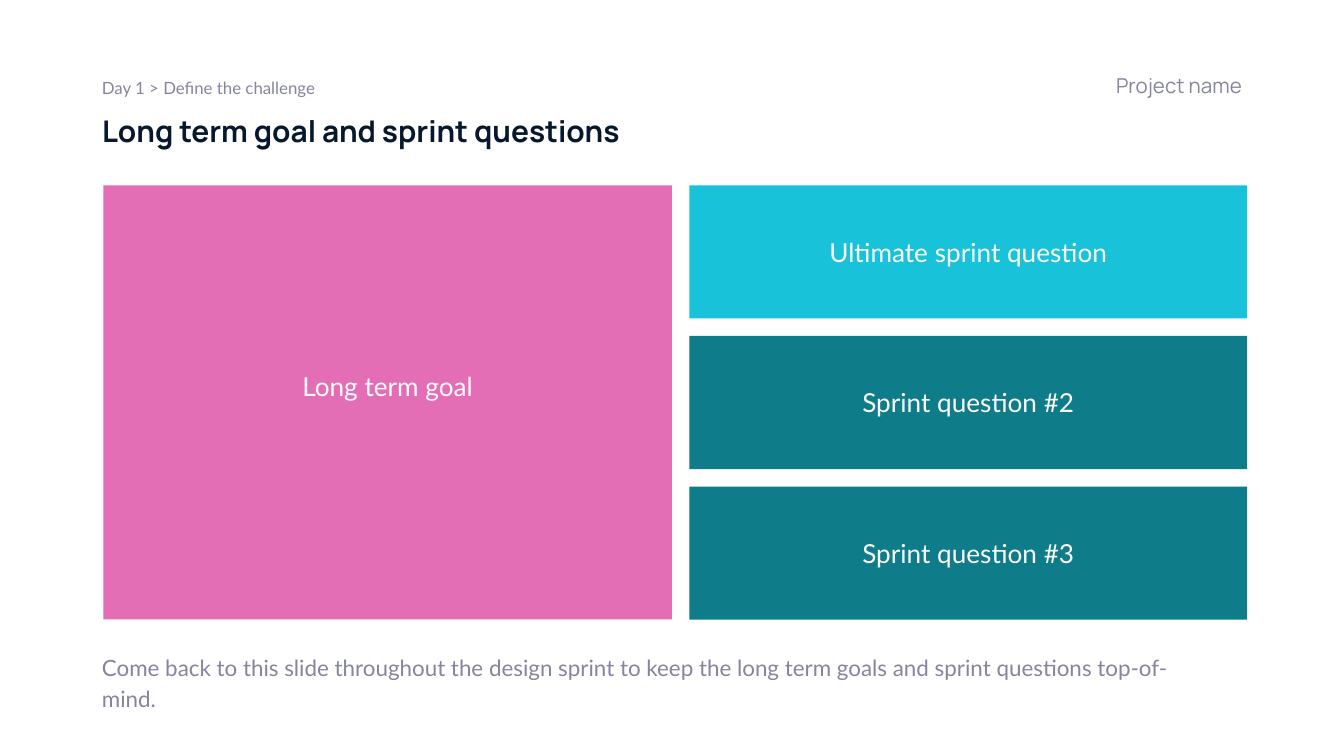
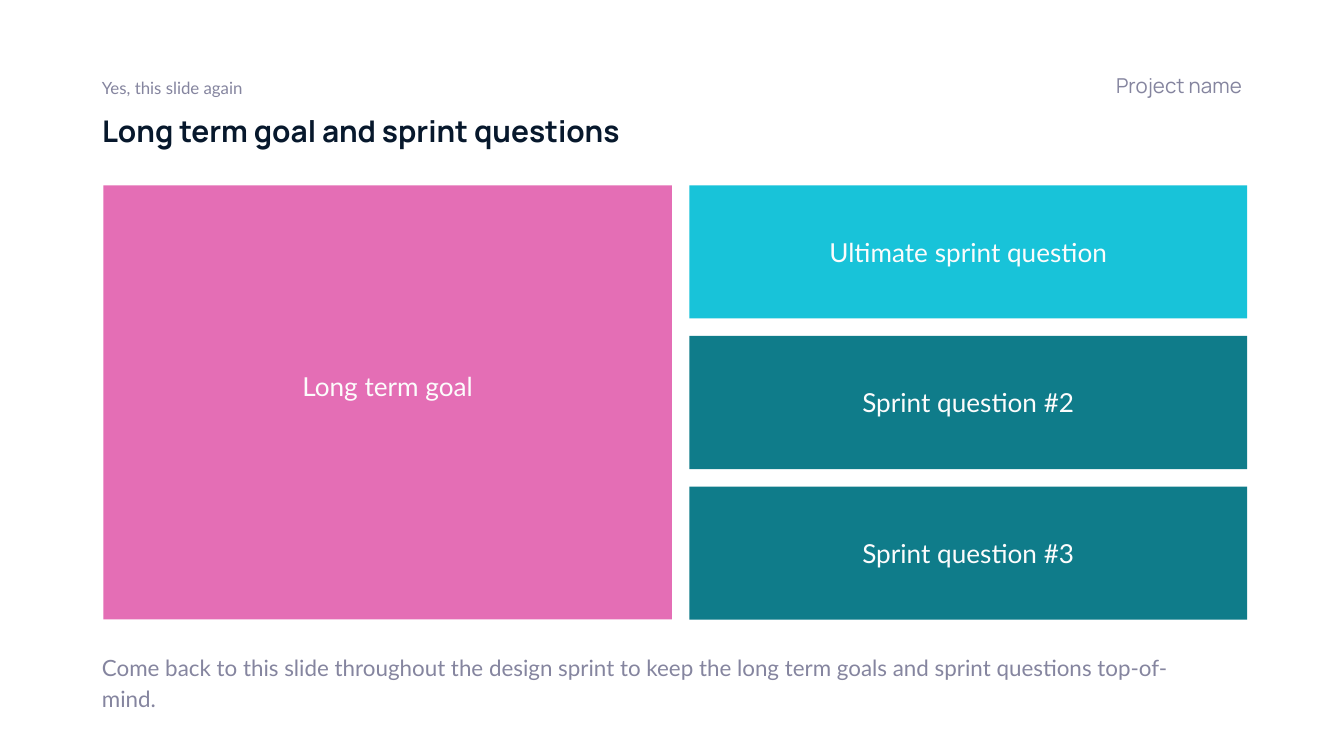
import pptx
import pptx.dml.color
import pptx.enum.shapes
import pptx.enum.text
import pptx.util

RGBColor = pptx.dml.color.RGBColor
Inches = pptx.util.Inches
Pt = pptx.util.Pt
ALIGN = pptx.enum.text.PP_ALIGN
ANCHOR = pptx.enum.text.MSO_ANCHOR
AUTO_SIZE = pptx.enum.text.MSO_AUTO_SIZE

NAVY = RGBColor(0x07, 0x18, 0x2C)
GREY = RGBColor(0x85, 0x85, 0x9F)
OFF_WHITE = RGBColor(0xFC, 0xFC, 0xFC)
PINK = RGBColor(0xE4, 0x6E, 0xB5)
CYAN = RGBColor(0x18, 0xC3, 0xD9)
TEAL = RGBColor(0x0F, 0x7C, 0x8A)
HEADING_FONT = "Manrope"
BODY_FONT = "Lato"

BREADCRUMBS = ["Day 1 > Define the challenge", "Yes, this slide again"]
TITLE = "Long term goal and sprint questions"
PROJECT = "Project name"
GOAL = "Long term goal"
QUESTIONS = [
    ("Ultimate sprint question", CYAN),
    ("Sprint question #2", TEAL),
    ("Sprint question #3", TEAL),
]
REMINDER = (
    "Come back to this slide throughout the design sprint to keep "
    "the long term goals and sprint questions top-of-mind."
)

SLIDE_WIDTH = 10
SLIDE_HEIGHT = SLIDE_WIDTH * 9 / 16
INSET = 0.1
TEXT_LEFT = 0.66
BOARD_LEFT, BOARD_TOP, BOARD_HEIGHT = 0.77, 1.38, 3.23
GOAL_WIDTH, QUESTION_WIDTH = 4.23, 4.15
GAP = 0.13
GOAL_LIFT = 0.24  # extra bottom margin that raises the goal above the middle


def place(shape, left, top, width, height):
    shape.left, shape.top = Inches(left), Inches(top)
    shape.width, shape.height = Inches(width), Inches(height)


def write(shape, text, font, size, color, bold=False, align=ALIGN.LEFT,
          anchor=ANCHOR.TOP, bottom=INSET):
    frame = shape.text_frame
    frame.text = text
    frame.word_wrap = True
    frame.auto_size = AUTO_SIZE.NONE
    frame.vertical_anchor = anchor
    frame.margin_left = frame.margin_right = frame.margin_top = Inches(INSET)
    frame.margin_bottom = Inches(bottom)
    paragraph = frame.paragraphs[0]
    paragraph.alignment = align
    run_font = paragraph.runs[0].font
    run_font.name, run_font.size, run_font.bold = font, Pt(size), bold
    run_font.color.rgb = color
    return frame


def add_text(slide, box, *style, **options):
    shape = slide.shapes.add_textbox(*map(Inches, box))
    return write(shape, *style, **options)


def add_card(slide, box, text, fill, bottom=INSET):
    card = slide.shapes.add_shape(
        pptx.enum.shapes.MSO_SHAPE.RECTANGLE, *map(Inches, box))
    card.shadow.inherit = False
    card.fill.solid()
    card.fill.fore_color.rgb = fill
    card.line.fill.background()
    write(card, text, BODY_FONT, 14, OFF_WHITE, align=ALIGN.CENTER,
          anchor=ANCHOR.MIDDLE, bottom=bottom)


def add_header(slide, breadcrumb):
    title = slide.shapes.title
    place(title, TEXT_LEFT, 0.74, 6.49, 0.47)
    write(title, TITLE, HEADING_FONT, 16, NAVY, bold=True)
    add_text(slide, (5, 0.46, 4.34, 0.33), PROJECT, HEADING_FONT, 11, GREY,
             align=ALIGN.RIGHT, anchor=ANCHOR.BOTTOM, bottom=0.06)
    add_text(slide, (TEXT_LEFT, 0.48, 2.14, 0.27), breadcrumb,
             BODY_FONT, 9, GREY)


def add_board(slide):
    """Put the goal on the left and the questions stacked on the right."""
    add_card(slide, (BOARD_LEFT, BOARD_TOP, GOAL_WIDTH, BOARD_HEIGHT),
             GOAL, PINK, bottom=INSET + GOAL_LIFT)
    left = BOARD_LEFT + GOAL_WIDTH + GAP
    height = (BOARD_HEIGHT - GAP * (len(QUESTIONS) - 1)) / len(QUESTIONS)
    for row, (question, fill) in enumerate(QUESTIONS):
        top = BOARD_TOP + row * (height + GAP)
        add_card(slide, (left, top, QUESTION_WIDTH, height), question, fill)


def add_reminder(slide):
    frame = add_text(slide, (TEXT_LEFT, 4.74, 8.48, 0.4), REMINDER,
                     BODY_FONT, 12, GREY)
    frame.auto_size = AUTO_SIZE.SHAPE_TO_FIT_TEXT
    paragraph = frame.paragraphs[0]
    paragraph.line_spacing = 1.15
    paragraph.space_after = Pt(5)


def main():
    presentation = pptx.Presentation()
    presentation.slide_width = Inches(SLIDE_WIDTH)
    presentation.slide_height = Inches(SLIDE_HEIGHT)
    title_only = presentation.slide_layouts.get_by_name("Title Only")
    for breadcrumb in BREADCRUMBS:
        slide = presentation.slides.add_slide(title_only)
        add_header(slide, breadcrumb)
        add_board(slide)
        add_reminder(slide)
    presentation.save("out.pptx")


if __name__ == "__main__":
    main()
